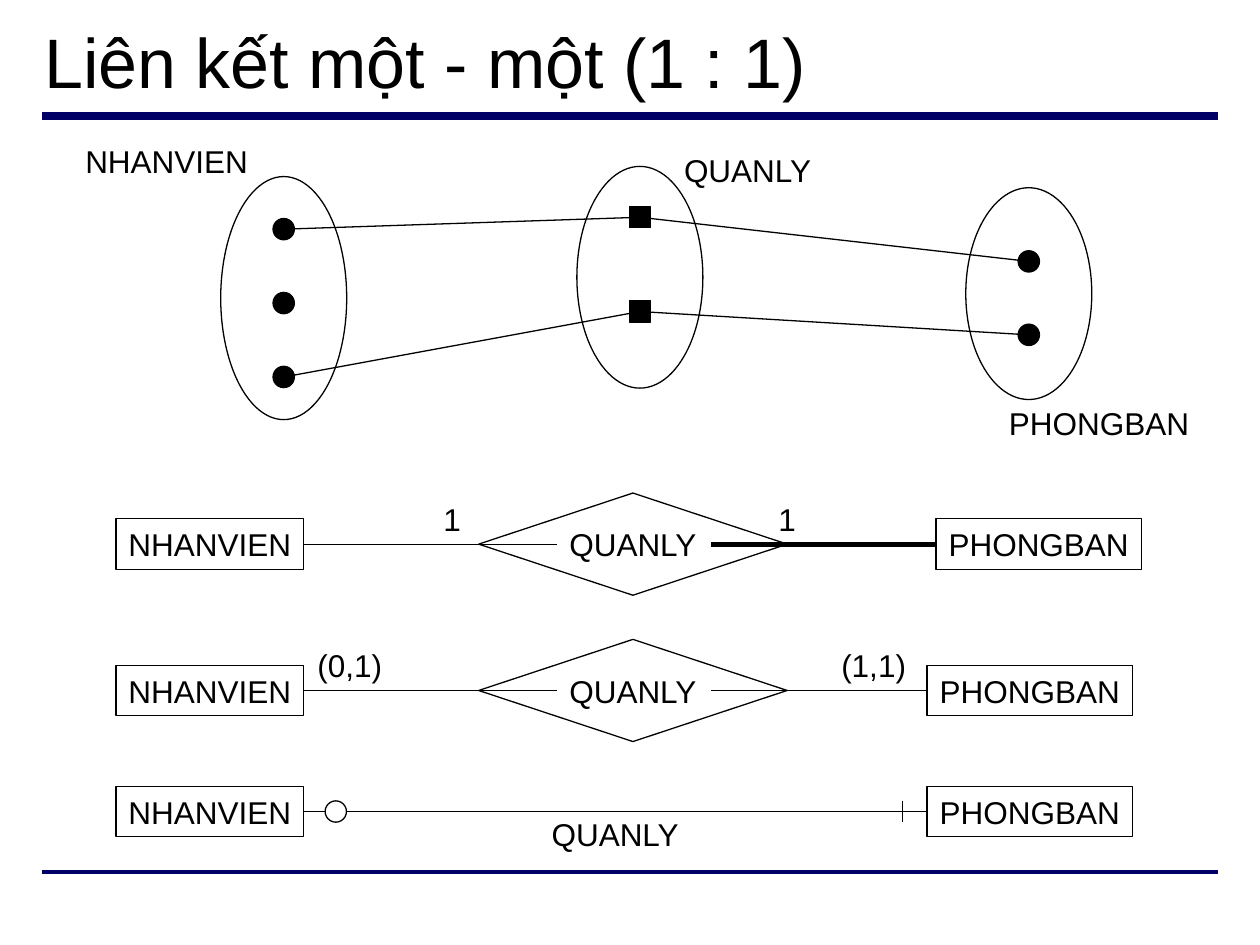
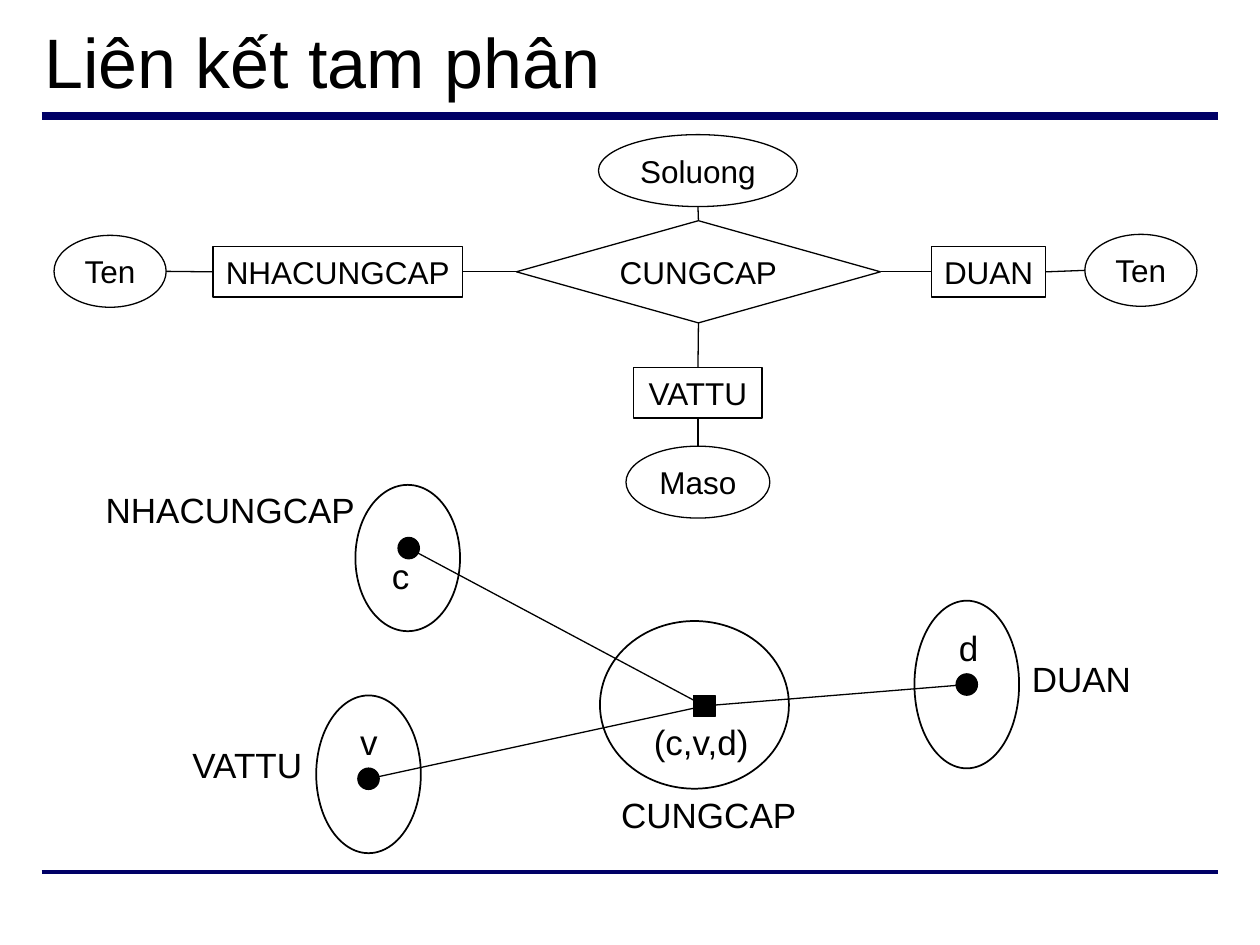
from lxml.etree import SubElement
from pptx import Presentation
from pptx.dml.color import RGBColor
from pptx.enum.shapes import MSO_CONNECTOR, MSO_SHAPE
from pptx.enum.text import MSO_ANCHOR, PP_ALIGN
from pptx.oxml.ns import qn
from pptx.util import Cm, Pt

# All lengths are centimetres; shapes are placed by their centres.
COLORS = {"ink": "000000", "paper": "FFFFFF", "rule": "000066"}
FONT = "Arial"
THIN, MEDIUM, THICK = 0.75, 1, 3
MARK = 0.43
BOX_HEIGHT = 1.02
DIAMOND_HEIGHT = 2.06
OVAL, BOX, DIAMOND = MSO_SHAPE.OVAL, MSO_SHAPE.RECTANGLE, MSO_SHAPE.DIAMOND

RULES = [(2.34, 4.5), (17.58, 2.25)]  # y, weight
RULE_LEFT, RULE_RIGHT = 0.84, 24.56

# ---- One-to-one slide ----
ONE_TO_ONE_TITLE = "Liên kết một - một (1 : 1)"
ONE_TO_ONE_SETS = [
    {"name": "NHANVIEN", "label": (1.47, 2.74, 4.01), "oval": (5.72, 6.01, 4.9),
     "mark": OVAL, "members": [4.62, 6.11, 7.6]},
    {"name": "QUANLY", "label": (13.54, 2.92, 3.61), "oval": (12.9, 5.59, 4.47),
     "mark": BOX, "members": [4.38, 6.28]},
    {"name": "PHONGBAN", "label": (20.09, 8.03, 4.24), "oval": (20.74, 5.92, 4.27),
     "mark": OVAL, "members": [5.27, 6.75]},
]
INSTANCES = [(0, 0, 0), (2, 1, 1)]  # member index in each of the three sets
SET_WIDTH = 2.54

LEFT_ENTITY = ("NHANVIEN", 2.34, 3.78)  # text, left, width
RIGHT_ENTITY = ("PHONGBAN", 4.14)  # text, width
RELATION = "QUANLY"
RELATION_X, RELATION_WIDTH = 12.76, 6.22
INNER_LEFT, INNER_RIGHT = 11.23, 14.33  # where the lines stop inside the diamond
CARDINALITY_ROWS = [
    {"y": 10.97, "right": 18.87, "weight": THICK,
     "labels": [("1", 8.69, 0.9), ("1", 15.44, 0.9)]},
    {"y": 13.92, "right": 18.69, "weight": THIN,
     "labels": [("(0,1)", 6.15, 1.9), ("(1,1)", 16.71, 1.9)]},
]
CROW_FOOT = {"y": 16.36, "right": 18.69, "circle": 6.77, "tick": 18.2,
             "label": (10.87, 16.31, 3.2)}

# ---- Ternary slide ----
TERNARY_TITLE = "Liên kết tam phân"
NODES = {  # key: text, shape, x, y, width, height
    "supplier": ("NHACUNGCAP", BOX, 6.81, 5.48, 5.03, BOX_HEIGHT),
    "supplier name": ("Ten", OVAL, 2.22, 5.47, 2.26, 1.45),
    "project": ("DUAN", BOX, 19.93, 5.48, 2.31, BOX_HEIGHT),
    "project name": ("Ten", OVAL, 23, 5.45, 2.26, 1.45),
    "item": ("VATTU", BOX, 14.07, 7.92, 2.59, BOX_HEIGHT),
    "item code": ("Maso", OVAL, 14.07, 9.72, 2.9, 1.45),
    "supply": ("CUNGCAP", DIAMOND, 14.08, 5.48, 7.34, DIAMOND_HEIGHT),
    "quantity": ("Soluong", OVAL, 14.07, 3.44, 4.01, 1.45),
}
LINKS = [
    ("supplier name", "supplier"), ("supplier", "supply"), ("supply", "project"),
    ("project", "project name"), ("quantity", "supply"), ("supply", "item"),
    ("item", "item code"),
]
TERNARY_SETS = [  # the last set holds the relationship
    {"oval": (8.22, 11.25, 2.11, 2.95), "mark": (OVAL, 8.24, 11.05),
     "texts": [("NHACUNGCAP", 1.88, 9.73, 5.6), ("c", 7.65, 11.05, 0.9)]},
    {"oval": (7.43, 15.61, 2.11, 3.18), "mark": (OVAL, 7.43, 15.7),
     "texts": [("VATTU", 3.63, 14.86, 2.9), ("v", 7.01, 14.4, 0.9)]},
    {"oval": (19.49, 13.8, 2.11, 3.38), "mark": (OVAL, 19.49, 13.8),
     "texts": [("DUAN", 20.55, 13.13, 2.6), ("d", 19.08, 12.5, 0.95)]},
    {"oval": (14, 14.21, 3.81, 3.38), "mark": (BOX, 14.2, 14.23),
     "texts": [("CUNGCAP", 12.27, 15.88, 4.1), ("(c,v,d)", 12.93, 14.4, 2.55)]},
]


def color(name):
    return RGBColor.from_string(COLORS[name])


def write(shape, text, size, align=PP_ALIGN.LEFT, anchor=MSO_ANCHOR.TOP, wrap=False):
    frame = shape.text_frame
    frame.text = text
    frame.word_wrap = wrap
    frame.vertical_anchor = anchor
    paragraph = frame.paragraphs[0]
    paragraph.alignment = align
    font = paragraph.runs[0].font
    font.name, font.size, font.color.rgb = FONT, Pt(size), color("ink")


def add_label(slide, text, left, top, width, size=18):
    box = slide.shapes.add_textbox(Cm(left), Cm(top), Cm(width), Cm(size * 0.056))
    write(box, text, size)


def add_line(slide, start, end, weight=THIN, ink="ink"):
    points = [Cm(value) for value in (*start, *end)]
    line = slide.shapes.add_connector(MSO_CONNECTOR.STRAIGHT, *points)
    line.line.color.rgb = color(ink)
    line.line.width = Pt(weight)
    SubElement(line._element.spPr, qn("a:effectLst"))


def add_figure(slide, kind, x, y, width, height, text="", fill=None, weight=THIN):
    """Add an outlined shape centred on (x, y)."""
    shape = slide.shapes.add_shape(
        kind, Cm(x - width / 2), Cm(y - height / 2), Cm(width), Cm(height))
    shape.shadow.inherit = False
    if fill:
        shape.fill.solid()
        shape.fill.fore_color.rgb = color(fill)
    else:
        shape.fill.background()
    shape.line.color.rgb = color("ink")
    shape.line.width = Pt(weight)
    if text:
        write(shape, text, 18, PP_ALIGN.CENTER, MSO_ANCHOR.MIDDLE)


def add_mark(slide, kind, x, y, fill="ink"):
    add_figure(slide, kind, x, y, MARK, MARK, fill=fill)


def add_titled_slide(presentation, title):
    slide = presentation.slides.add_slide(presentation.slide_layouts[6])
    for y, weight in RULES:
        add_line(slide, (RULE_LEFT, y), (RULE_RIGHT, y), weight, "rule")
    box = slide.shapes.add_textbox(Cm(0.64), Cm(0.23), Cm(24.13), Cm(1.96))
    write(box, title, 40, anchor=MSO_ANCHOR.MIDDLE, wrap=True)
    return slide


def add_entities(slide, y, right):
    """Add both entity boxes of a row and return the right edge of the left one."""
    left_text, left, left_width = LEFT_ENTITY
    right_text, right_width = RIGHT_ENTITY
    add_figure(slide, BOX, left + left_width / 2, y, left_width, BOX_HEIGHT, left_text)
    add_figure(slide, BOX, right + right_width / 2, y, right_width, BOX_HEIGHT, right_text)
    return left + left_width


def add_one_to_one_sets(slide):
    for instance in INSTANCES:
        points = [(group["oval"][0], group["members"][index])
                  for group, index in zip(ONE_TO_ONE_SETS, instance)]
        for start, end in zip(points, points[1:]):
            add_line(slide, start, end)
    for group in ONE_TO_ONE_SETS:
        x, y, height = group["oval"]
        add_figure(slide, OVAL, x, y, SET_WIDTH, height)
        for member in group["members"]:
            add_mark(slide, group["mark"], x, member)
        add_label(slide, group["name"], *group["label"])


def add_cardinality_row(slide, row):
    y, right = row["y"], row["right"]
    left = add_entities(slide, y, right)
    add_figure(slide, DIAMOND, RELATION_X, y, RELATION_WIDTH, DIAMOND_HEIGHT, RELATION)
    add_line(slide, (left, y), (INNER_LEFT, y))
    add_line(slide, (INNER_RIGHT, y), (right, y), row["weight"])
    for text, label_left, width in row["labels"]:
        add_label(slide, text, label_left, y - BOX_HEIGHT, width)


def add_crow_foot_row(slide):
    y, right, tick = CROW_FOOT["y"], CROW_FOOT["right"], CROW_FOOT["tick"]
    left = add_entities(slide, y, right)
    add_line(slide, (left, y), (right, y))
    add_line(slide, (tick, y - MARK / 2), (tick, y + MARK / 2))
    add_mark(slide, OVAL, CROW_FOOT["circle"], y, "paper")
    add_label(slide, RELATION, *CROW_FOOT["label"])


def add_link(slide, first, second):
    """Join the facing edges of two nodes, the first being left of or above the second."""
    _, _, x1, y1, width1, height1 = NODES[first]
    _, _, x2, y2, width2, height2 = NODES[second]
    if x2 - x1 > y2 - y1:
        add_line(slide, (x1 + width1 / 2, y1), (x2 - width2 / 2, y2))
    else:
        add_line(slide, (x1, y1 + height1 / 2), (x2, y2 - height2 / 2))


def add_ternary_diagram(slide):
    for text, kind, *place in NODES.values():
        add_figure(slide, kind, *place, text=text, fill="paper")
    for first, second in LINKS:
        add_link(slide, first, second)


def add_ternary_sets(slide):
    *entity_sets, relation_set = TERNARY_SETS
    for group in entity_sets:
        add_line(slide, group["mark"][1:], relation_set["mark"][1:])
    for group in TERNARY_SETS:
        add_figure(slide, OVAL, *group["oval"], weight=MEDIUM)
        add_mark(slide, *group["mark"])
        for label in group["texts"]:
            add_label(slide, *label, size=20)


def main():
    presentation = Presentation()
    presentation.slide_width, presentation.slide_height = Cm(25.4), Cm(19.05)

    slide = add_titled_slide(presentation, ONE_TO_ONE_TITLE)
    add_one_to_one_sets(slide)
    for row in CARDINALITY_ROWS:
        add_cardinality_row(slide, row)
    add_crow_foot_row(slide)

    slide = add_titled_slide(presentation, TERNARY_TITLE)
    add_ternary_diagram(slide)
    add_ternary_sets(slide)

    presentation.save("out.pptx")


if __name__ == "__main__":
    main()
